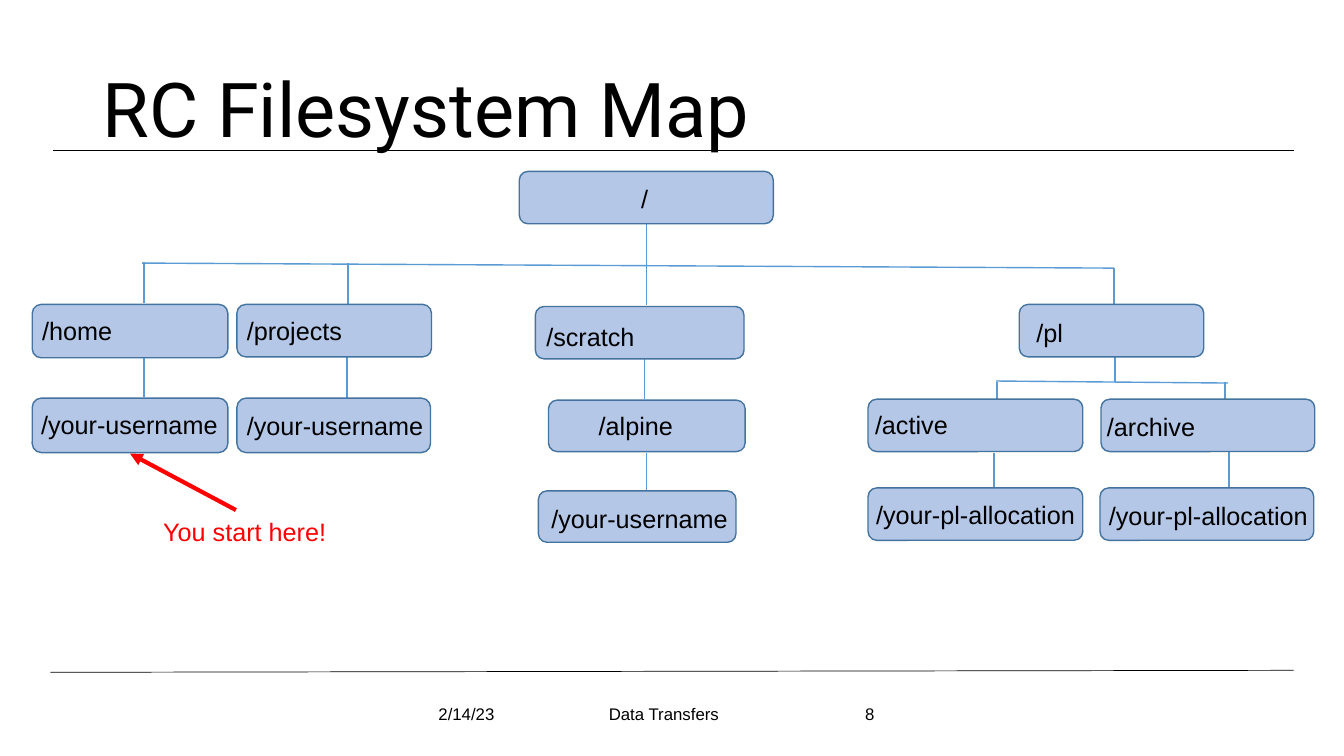
from dataclasses import dataclass

import pptx
import pptx.dml.color
import pptx.enum.shapes
import pptx.enum.text
import pptx.oxml
import pptx.oxml.ns
import pptx.util

Inches = pptx.util.Inches
Align = pptx.enum.text.PP_ALIGN
Anchor = pptx.enum.text.MSO_ANCHOR

BLACK, WHITE, RED = "000000", "FFFFFF", "FF0000"
NODE_FILL, NODE_BORDER, BRANCH = "B4C7E7", "43739E", "5B9BD5"


@dataclass
class Node:
    """A directory box and its label, placed separately."""
    text: str
    left: float
    top: float
    width: float
    height: float
    label_left: float
    label_top: float
    label_width: float


@dataclass
class Line:
    x1: float
    y1: float
    x2: float
    y2: float
    color: str = BRANCH
    weight: float = 1
    arrow: bool = False


@dataclass
class FooterField:
    text: str
    left: float
    width: float
    align: Align


RULES = [
    Line(0.5, 6.67, 12.83, 6.65, BLACK, 0.5),
    Line(0.53, 1.49, 12.83, 1.49, BLACK, 0.5),
]

BRANCHES = [
    # Root to top-level directories
    Line(6.41, 2.22, 6.41, 2.63),
    Line(11.05, 2.66, 1.41, 2.61),
    Line(1.43, 2.6, 1.43, 3.01),
    Line(3.45, 2.61, 3.45, 3.02),
    Line(6.41, 2.64, 6.41, 3.03),
    Line(11.05, 2.66, 11.05, 3.02),
    # Below /home, /projects and /scratch
    Line(1.43, 3.53, 1.43, 3.94),
    Line(3.44, 3.54, 3.44, 3.95),
    Line(6.39, 3.55, 6.39, 3.96),
    Line(6.41, 4.49, 6.41, 4.87),
    # Below /pl
    Line(11.06, 3.54, 11.06, 3.79),
    Line(12.18, 3.8, 9.88, 3.78),
    Line(9.89, 3.79, 9.89, 4.28),
    Line(12.15, 3.79, 12.15, 4.26),
    Line(9.86, 4.49, 9.86, 4.97),
    Line(12.19, 4.47, 12.19, 4.85),
]

NODES = [
    Node("/", 5.15, 1.7, 2.52, 0.52, 6.26, 1.77, 0.3),
    Node("/home", 0.32, 3.02, 1.94, 0.53, 0.32, 3.08, 0.94),
    Node("/projects", 2.35, 3.02, 1.93, 0.52, 2.35, 3.08, 1.23),
    Node("/scratch", 5.31, 3.04, 2.07, 0.52, 5.32, 3.14, 1.14),
    Node("/pl", 10.11, 3.02, 1.83, 0.52, 10.18, 3.1, 0.88),
    Node("/your-username", 0.32, 3.95, 1.94, 0.54, 0.31, 4.01, 2.04),
    Node("/your-username", 2.35, 3.95, 1.92, 0.54, 2.35, 4.02, 2.04),
    Node("/alpine", 5.44, 3.97, 1.95, 0.51, 5.84, 4.02, 1.13),
    Node("/active", 8.61, 3.96, 2.13, 0.52, 8.58, 4.01, 1.02),
    Node("/archive", 10.92, 3.96, 2.12, 0.52, 10.88, 4.03, 1.1),
    Node("/your-username", 5.34, 4.87, 1.96, 0.51, 5.37, 4.94, 2.04),
    Node("/your-pl-allocation", 8.61, 4.84, 2.13, 0.52, 8.59, 4.9, 2.22),
    Node("/your-pl-allocation", 10.91, 4.84, 2.12, 0.52, 10.9, 4.91, 2.22),
]

FOOTER = [
    FooterField("2/14/23", 4.25, 0.89, Align.LEFT),
    FooterField("Data Transfers", 5.15, 2.87, Align.CENTER),
    FooterField("8", 8.02, 0.75, Align.RIGHT),
]


def rgb(value: str) -> pptx.dml.color.RGBColor:
    return pptx.dml.color.RGBColor.from_string(value)


def add_text(slide, text: str, left: float, top: float, width: float,
             height: float = 0.4, *, size: float = 18, font: str = "Arial",
             color: str = BLACK, align: Align = Align.LEFT,
             anchor: Anchor = Anchor.TOP, spacing: float = 1.0) -> None:
    box = slide.shapes.add_textbox(Inches(left), Inches(top),
                                   Inches(width), Inches(height))
    frame = box.text_frame
    frame.word_wrap = True
    frame.vertical_anchor = anchor
    paragraph = frame.paragraphs[0]
    paragraph.text = text
    paragraph.alignment = align
    paragraph.line_spacing = spacing
    paragraph.font.size = pptx.util.Pt(size)
    paragraph.font.name = font
    paragraph.font.color.rgb = rgb(color)


def add_line(slide, line: Line) -> None:
    connector = slide.shapes.add_connector(
        pptx.enum.shapes.MSO_CONNECTOR.STRAIGHT,
        Inches(line.x1), Inches(line.y1), Inches(line.x2), Inches(line.y2))
    connector.line.color.rgb = rgb(line.color)
    connector.line.width = pptx.util.Pt(line.weight)
    if line.arrow:
        arrowhead = pptx.oxml.parse_xml(
            f'<a:tailEnd {pptx.oxml.ns.nsdecls("a")} type="triangle"/>')
        connector.line._get_or_add_ln().append(arrowhead)
    properties = connector._element.spPr
    properties.append(pptx.oxml.parse_xml(
        f'<a:effectLst {pptx.oxml.ns.nsdecls("a")}/>'))


def add_node(slide, node: Node) -> None:
    shape = slide.shapes.add_shape(
        pptx.enum.shapes.MSO_SHAPE.ROUNDED_RECTANGLE,
        Inches(node.left), Inches(node.top),
        Inches(node.width), Inches(node.height))
    shape.shadow.inherit = False
    shape.fill.solid()
    shape.fill.fore_color.rgb = rgb(NODE_FILL)
    shape.line.color.rgb = rgb(NODE_BORDER)
    shape.line.width = pptx.util.Pt(1)
    add_text(slide, node.text, node.label_left, node.label_top,
             node.label_width)


def main() -> None:
    presentation = pptx.Presentation()
    presentation.slide_width = Inches(13.33)
    presentation.slide_height = Inches(7.5)
    slide = presentation.slides.add_slide(presentation.slide_layouts[6])
    slide.background.fill.solid()
    slide.background.fill.fore_color.rgb = rgb(WHITE)

    # Title, rules and footer
    for rule in RULES:
        add_line(slide, rule)
    add_text(slide, "RC Filesystem Map", 0.92, 0.4, 11.5, 1.45, size=54,
             font="Roboto", anchor=Anchor.MIDDLE, spacing=0.9)
    for field in FOOTER:
        add_text(slide, field.text, field.left, 6.88, field.width, size=12,
                 align=field.align, anchor=Anchor.MIDDLE)

    # Directory tree
    for branch in BRANCHES:
        add_line(slide, branch)
    for node in NODES:
        add_node(slide, node)

    # Starting point
    add_line(slide, Line(2.34, 5.06, 1.29, 4.5, RED, 3, arrow=True))
    add_text(slide, "You start here!", 1.52, 5.07, 1.88, color=RED)

    presentation.save("out.pptx")


if __name__ == "__main__":
    main()
